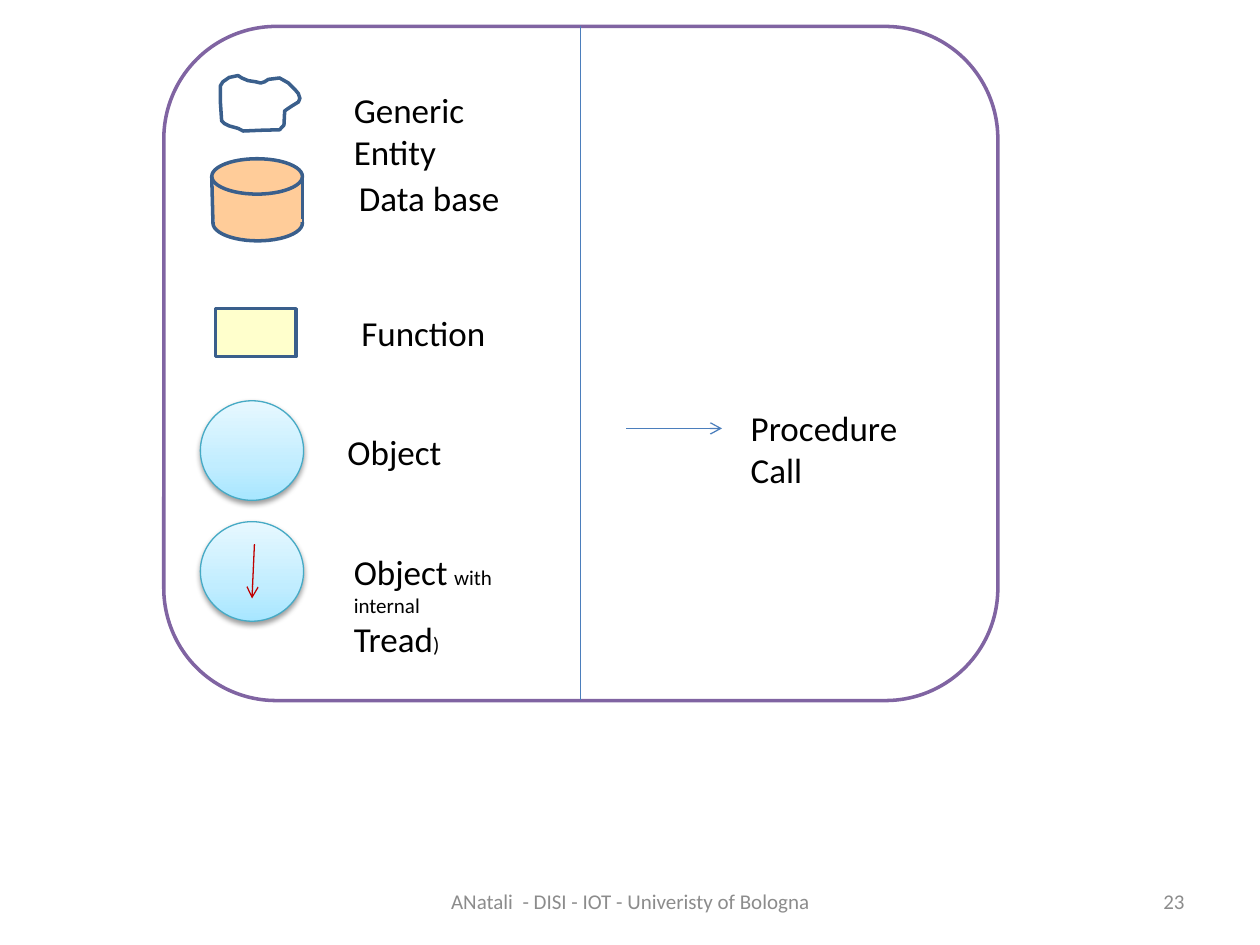
import pptx
import pptx.util
import pptx.oxml
import pptx.oxml.ns
import pptx.dml.color
import pptx.enum.shapes
import pptx.enum.text

Pt = pptx.util.Pt
RGB = pptx.dml.color.RGBColor.from_string
KIND = pptx.enum.shapes.MSO_SHAPE
ALIGN = pptx.enum.text.PP_ALIGN
ANCHOR = pptx.enum.text.MSO_ANCHOR
NS = pptx.oxml.ns.nsdecls("a")

HUES = {
    "white": "FFFFFF", "black": "000000", "gray": "8C8C8C",
    "purple": "8064A2", "navy": "3A5F8C", "blue": "4B7EBC",
    "teal": "46AAC5", "peach": "FFCC99", "cream": "FFFFCC", "red": "C00000",
}
GRAD = (
    f'<a:gradFill {NS} rotWithShape="1"><a:gsLst>'
    '<a:gs pos="0"><a:srgbClr val="A7E6FF"/></a:gs>'
    '<a:gs pos="35000"><a:srgbClr val="C1EDFF"/></a:gs>'
    '<a:gs pos="100000"><a:srgbClr val="E7F8FF"/></a:gs>'
    '</a:gsLst><a:lin ang="16200000" scaled="1"/></a:gradFill>'
)
SHADE = (
    f'<a:effectLst {NS}><a:outerShdw blurRad="40000" dist="20000" '
    'dir="5400000" rotWithShape="0"><a:srgbClr val="000000">'
    '<a:alpha val="38000"/></a:srgbClr></a:outerShdw></a:effectLst>'
)


def paint(item, fill, edge, width):
    item.shadow.inherit = False
    if fill:
        item.fill.solid()
        item.fill.fore_color.rgb = RGB(HUES[fill])
    item.line.color.rgb = RGB(HUES[edge])
    item.line.width = Pt(width)


def draw_line(tree, ends, hue, width, arrow=False):
    line = tree.add_connector(
        pptx.enum.shapes.MSO_CONNECTOR.STRAIGHT, *[Pt(v) for v in ends])
    line.line.color.rgb = RGB(HUES[hue])
    line.line.width = Pt(width)
    if arrow:
        line.line._get_or_add_ln().append(
            pptx.oxml.parse_xml(f'<a:tailEnd {NS} type="arrow"/>'))
    line._element.spPr.append(pptx.oxml.parse_xml(f"<a:effectLst {NS}/>"))


deck = pptx.Presentation()
deck.slide_width, deck.slide_height = Pt(720), Pt(540)
slide = deck.slides.add_slide(deck.slide_layouts[6])
shapes = slide.shapes

# Frame and divider
frame = shapes.add_shape(KIND.ROUNDED_RECTANGLE, Pt(93.6), Pt(15.1), Pt(476.6), Pt(385.2))
paint(frame, "white", "purple", 2)
draw_line(shapes, (331.9, 15.1, 331.9, 400.3), "blue", 0.75)

# Generic entity
cloud = [
    (136.1, 43.2), (131, 44.3), (127.4, 46.8), (126, 49), (126, 59),
    (126.7, 69.1), (128.2, 70.6), (131, 72), (136.1, 73.4), (139, 74.9),
    (149, 74.5), (159.8, 74.2), (162.3, 71.5), (162.7, 63.4), (164.9, 61.9),
    (167, 60.5), (170.6, 58.3), (171.4, 56.2), (170.5, 53.5), (168.5, 51.1),
    (164.9, 47.5), (159.8, 44.6), (153.4, 45.4), (151.2, 46.8), (149, 47.5),
    (146.2, 46.8), (141.8, 46.1), (138.2, 44.6),
]
dots = [(Pt(x), Pt(y)) for x, y in cloud]
pen = shapes.build_freeform(*dots[0])
pen.add_line_segments(dots[1:], close=True)
paint(pen.convert_to_shape(), "white", "navy", 2)

# Data base
drum = shapes.add_group_shape().shapes
for kind, box, edge in [
    (KIND.OVAL, (121.7, 117.4, 51.1, 20.2), "navy"),
    (KIND.RECTANGLE, (121, 100.1, 51.8, 25.9), "white"),
    (KIND.OVAL, (121, 90.7, 51.8, 20.2), "navy"),
]:
    paint(drum.add_shape(kind, *[Pt(v) for v in box]), "peach", edge, 2)
draw_line(drum, (121, 100.8, 121.7, 127.4), "navy", 2)
draw_line(drum, (172.8, 100.8, 172.8, 127.4), "navy", 2)
draw_line(drum, (123.1, 126, 172.8, 126), "peach", 2.25)

# Function
block = shapes.add_shape(KIND.RECTANGLE, Pt(123.1), Pt(176.4), Pt(46.1), Pt(27.4))
paint(block, "cream", "navy", 2)

# Objects
for top in (229, 298.1):
    ball = shapes.add_shape(KIND.OVAL, Pt(114.5), Pt(top), Pt(59), Pt(56.9))
    paint(ball, None, "teal", 0.75)
    props = ball._element.spPr
    props.insert(2, pptx.oxml.parse_xml(GRAD))
    props.remove(props.find(pptx.oxml.ns.qn("a:effectLst")))
    props.append(pptx.oxml.parse_xml(SHADE))

draw_line(shapes, (145.4, 311, 144, 342), "red", 0.75, arrow=True)
draw_line(shapes, (357.8, 244.8, 412.6, 244.8), "blue", 0.75, arrow=True)

# Labels: box, paragraphs of (text, size) runs, hue, alignment, anchor
LEFT = ("black", ALIGN.LEFT, ANCHOR.TOP)
labels = [
    ((195.1, 46.8, 127.4, 31.7), [[("Generic Entity", 20)]], *LEFT),
    ((198, 97.2, 95.8, 31.7), [[("Data base", 20)]], *LEFT),
    ((199.4, 174.2, 86.4, 31.7), [[("Function", 20)]], *LEFT),
    ((191.5, 242.6, 69.1, 31.7), [[("Object", 20)]], *LEFT),
    ((195.1, 311, 100.8, 55.4),
     [[("Object", 20), (" ", 16), ("with", 12), (" ", 16)],
      [("internal ", 12), ("Tread", 20), (")", 12)]], *LEFT),
    ((421.9, 229, 123.1, 31.7),
     [[("Procedure", 20), (" ", 16), ("Call", 20)]], *LEFT),
    ((246.2, 500.4, 228.2, 28.8),
     [[("ANatali  - DISI - IOT - Univeristy of Bologna", 12)]],
     "gray", ALIGN.CENTER, ANCHOR.MIDDLE),
    ((516.2, 500.4, 167.8, 28.8), [[("23", 12)]],
     "gray", ALIGN.RIGHT, ANCHOR.MIDDLE),
]
for box, paras, hue, align, anchor in labels:
    frame = shapes.add_textbox(*[Pt(v) for v in box]).text_frame
    for name, value in {"word_wrap": True, "vertical_anchor": anchor}.items():
        setattr(frame, name, value)
    for i, runs in enumerate(paras):
        para = frame.add_paragraph() if i else frame.paragraphs[0]
        para.alignment = align
        for text, size in runs:
            run = para.add_run()
            run.text = text
            for name, value in {"name": "Calibri", "size": Pt(size)}.items():
                setattr(run.font, name, value)
            run.font.color.rgb = RGB(HUES[hue])

deck.save("out.pptx")
